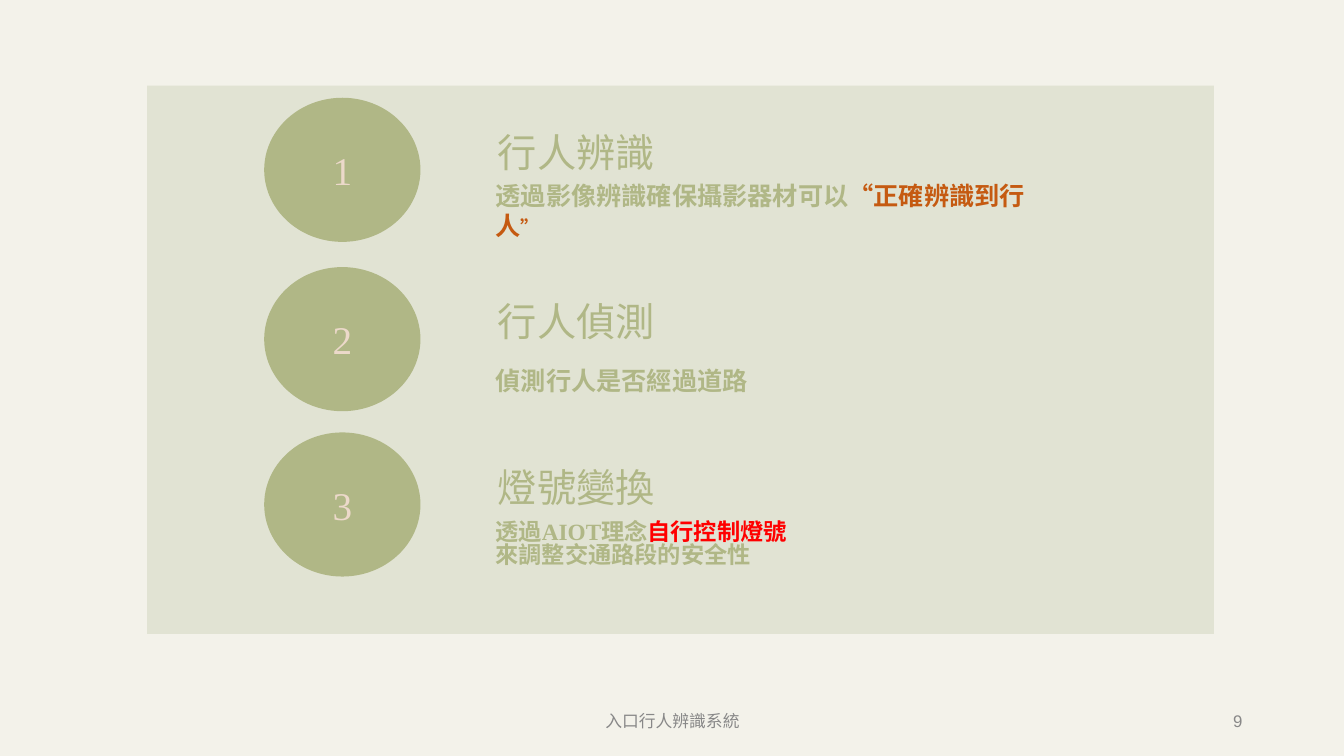
from pptx import Presentation
from pptx import util as u
from pptx.dml import color
from pptx.enum import shapes, text

BACKGROUND, PANEL, GREEN = "F3F2EA", "E1E3D3", "B0B786"
CREAM, GREY, ORANGE, RED = "ECD9CA", "888888", "C55A11", "FF0000"
LATIN, SANS, SERIF = "Lato", "Arial", "Times New Roman"
LEFT, CENTER, RIGHT = text.PP_ALIGN.LEFT, text.PP_ALIGN.CENTER, text.PP_ALIGN.RIGHT
TOP, MIDDLE = text.MSO_ANCHOR.TOP, text.MSO_ANCHOR.MIDDLE

STEPS = [
    (0.97, "行人辨識", None, [
        [("透過影像辨識確保攝影器材可以", 18, LATIN, GREEN),
         ("“正確辨識到行人", 18, LATIN, ORANGE),
         ("”", 14, LATIN, ORANGE)],
    ]),
    (2.65, "行人偵測", None, [
        [("偵測行人是否經過道路", 18, LATIN, GREEN)],
    ]),
    (4.29, "燈號變換", 0.8, [
        [("透過", 16.6, LATIN, GREEN),
         ("AIOT", 16.6, SERIF, GREEN),
         ("理念", 16.6, LATIN, GREEN),
         ("自行控制燈號", 16.6, LATIN, RED)],
        [("來調整交通路段的安全性", 16.6, LATIN, GREEN)],
    ]),
]
FOOTERS = [
    (4.42, 4.5, CENTER, ("入口行人辨識系統", 12, LATIN, GREY)),
    (9.42, 3, RIGHT, ("9", 12, SANS, GREY)),
]


def rgb(value):
    return color.RGBColor.from_string(value)


def write(shape, paragraphs, align=LEFT, anchor=MIDDLE, spacing=None, bold=False):
    frame = shape.text_frame
    frame.word_wrap = True
    frame.vertical_anchor = anchor
    for index, spans in enumerate(paragraphs):
        para = frame.add_paragraph() if index else frame.paragraphs[0]
        para.alignment = align
        para.line_spacing = spacing
        for content, size, font, tint in spans:
            span = para.add_run()
            span.text = content
            span.font.size = u.Pt(size)
            span.font.name = font
            span.font.bold = bold
            span.font.color.rgb = rgb(tint)


def add_shape(parent, kind, place, fill=None):
    shape = parent.shapes.add_shape(kind, *map(u.Inches, place))
    shape.shadow.inherit = False
    shape.line.fill.background()
    if fill:
        shape.fill.solid()
        shape.fill.fore_color.rgb = rgb(fill)
    else:
        shape.fill.background()
    return shape


def add_text(parent, place):
    return parent.shapes.add_textbox(*map(u.Inches, place))


def add_step(page, number, top, title, spacing, details):
    step = page.shapes.add_group_shape()
    badge = add_shape(step, shapes.MSO_SHAPE.OVAL, (2.62, top, 1.55, 1.43), GREEN)
    write(badge, [[(str(number), 28, SERIF, CREAM)]], CENTER)
    heading = add_text(step, (4.84, top + 0.16, 5.57, 1.25))
    write(heading, [[(title, 28, SANS, GREEN)]], anchor=TOP, spacing=1.2)
    detail = add_shape(step, shapes.MSO_SHAPE.ROUNDED_RECTANGLE, (4.7, top + 0.72, 6.01, 0.8))
    detail.adjustments[0] = 0.5
    write(detail, details, spacing=spacing, bold=True)


def main():
    deck = Presentation()
    deck.slide_width, deck.slide_height = u.Inches(13.33), u.Inches(7.5)
    page = deck.slides.add_slide(deck.slide_layouts[6])
    page.background.fill.solid()
    page.background.fill.fore_color.rgb = rgb(BACKGROUND)
    for left, width, align, label in FOOTERS:
        write(add_text(page, (left, 6.95, width, 0.4)), [[label]], align)
    add_shape(page, shapes.MSO_SHAPE.RECTANGLE, (1.46, 0.85, 10.58, 5.44), PANEL)
    for number, step in enumerate(STEPS, 1):
        add_step(page, number, *step)
    deck.save("out.pptx")


if __name__ == "__main__":
    main()
